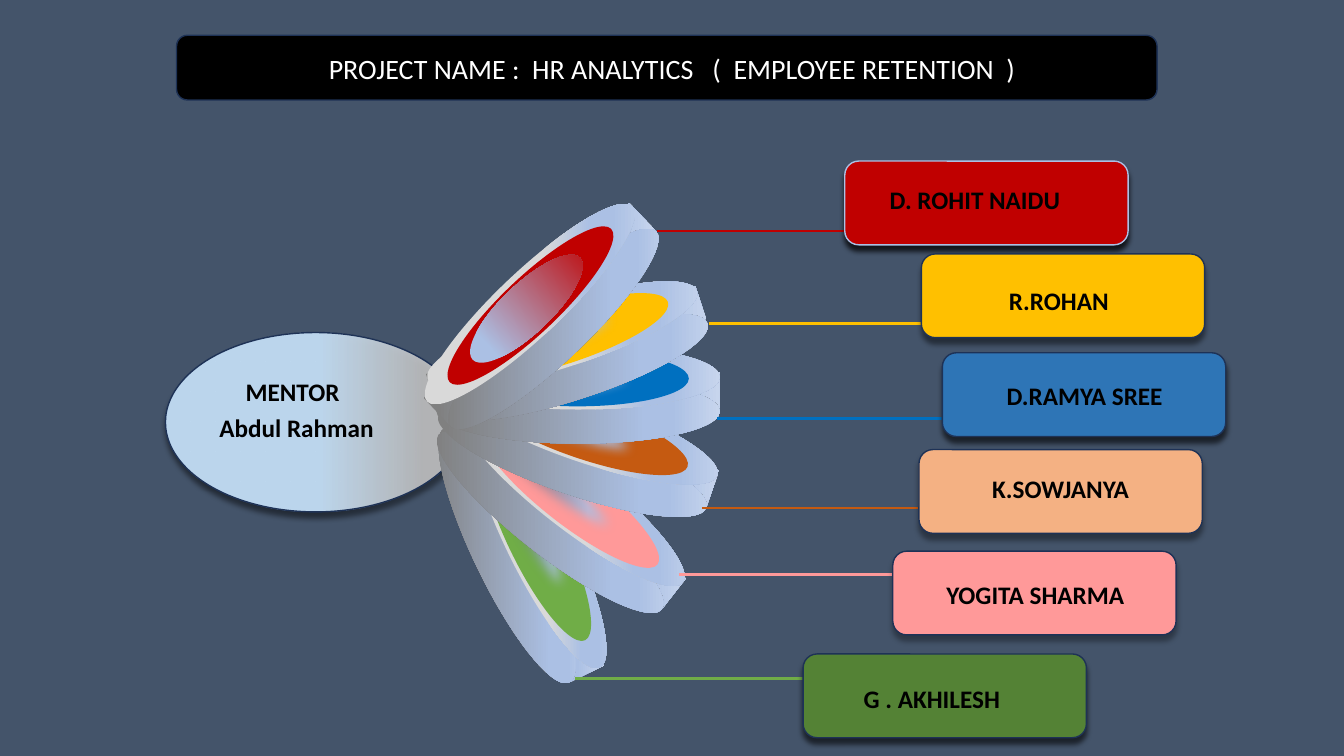
from pptx import Presentation
from pptx.dml.color import RGBColor
from pptx.enum import shapes, text
from pptx.oxml import parse_xml
from pptx.util import Cm, Pt

A = 'xmlns:a="http://schemas.openxmlformats.org/drawingml/2006/main"'
ROUND, OVAL, RECT = (shapes.MSO_SHAPE.ROUNDED_RECTANGLE, shapes.MSO_SHAPE.OVAL,
                     shapes.MSO_SHAPE.RECTANGLE)


def add_shape(parent, kind, x, y, w, h, fill, line=None, shadow=0, soft=0):
    """Fill is a hex string or (position, hex, alpha) stops; shadow is its opacity in %."""
    sp = parent.shapes.add_shape(kind, Cm(x), Cm(y), Cm(w), Cm(h))
    sp.shadow.inherit = False
    spPr = sp._element.spPr
    if isinstance(fill, str):
        sp.fill.solid()
        sp.fill.fore_color.rgb = RGBColor.from_string(fill)
    else:
        stops = "".join(
            f'<a:gs pos="{pos * 1000}"><a:srgbClr val="{color}">'
            f'<a:alpha val="{alpha * 1000}"/></a:srgbClr></a:gs>' for pos, color, alpha in fill)
        spPr.insert(2, parse_xml(f'<a:gradFill {A} rotWithShape="1"><a:gsLst>{stops}</a:gsLst>'
                                 '<a:lin ang="0" scaled="0"/></a:gradFill>'))
    if line:
        sp.line.color.rgb = RGBColor.from_string(line)
        sp.line.width = Pt(1)
    else:
        sp.line.fill.background()
    effects = spPr[-1]
    if shadow:
        effects.append(parse_xml(
            f'<a:outerShdw {A} blurRad="{Pt(4)}" dist="{Pt(4)}" dir="5400000" algn="t" '
            f'rotWithShape="0"><a:srgbClr val="000000"><a:alpha val="{shadow * 1000}"/>'
            '</a:srgbClr></a:outerShdw>'))
    if soft:
        effects.append(parse_xml(f'<a:softEdge {A} rad="{Cm(soft)}"/>'))
    return sp


def put_text(sp, words, size=18, bold=True, color="000000", align=text.PP_ALIGN.CENTER):
    tf = sp.text_frame
    tf.word_wrap = True
    tf.vertical_anchor = text.MSO_ANCHOR.TOP
    p = tf.paragraphs[0]
    p.alignment = align
    p.line_spacing = 1.0
    r = p.add_run()
    r.text = words
    r.font.name = "Calibri"
    r.font.size = Pt(size)
    r.font.bold = bold
    r.font.color.rgb = RGBColor.from_string(color)


prs = Presentation()
prs.slide_width, prs.slide_height = Cm(33.87), Cm(19.05)
s = prs.slides.add_slide(prs.slide_layouts[5])
s.background.fill.solid()
s.background.fill.fore_color.rgb = RGBColor.from_string("44546A")

# Title on its black bar
bar = add_shape(s, ROUND, 4.45, 0.89, 24.71, 1.63, "000000", line="1E3256")
title = s.shapes.title
title.left, title.top, title.width, title.height = Cm(5.94), Cm(1.17), Cm(22), Cm(1.12)
put_text(title, "PROJECT NAME :  HR ANALYTICS   (  EMPLOYEE RETENTION  )",
         size=20, bold=False, color="FFFFFF")
bar._element.addnext(title._element)

# Mentor
add_shape(s, OVAL, 4.17, 8.38, 7.57, 4.52, [(51, "BDD7EE", 100), (86, "C9C9C9", 86)],
          line="1E3256", shadow=48)
for words, x, y, w in [("MENTOR", 5.94, 9.37, 3.94), ("Abdul Rahman", 5.28, 10.26, 5.03)]:
    tb = s.shapes.add_textbox(Cm(x), Cm(y), Cm(w), Cm(1.02))
    put_text(tb, words, align=text.PP_ALIGN.LEFT)

# Fan of petals, from back to front: left, top, rotation, colour
RIM = [(74, "ABC0E4", 100), (83, "ABC0E4", 100), (100, "C7D5ED", 100)]
SIDE = [(6, "808080", 100)] + RIM
TOP = [(55, "D9D9D9", 100)] + RIM
GLOW = [(7, "000000", 2), (74, "ABC0E4", 100)]
petals = [
    (9.68, 12.42, 64, "70AD47"),
    (10.59, 11.48, 38, "FF9999"),
    (11, 9.93, 19, "C55A11"),
    (11, 8.69, 0, "0070C0"),
    (10.74, 7.65, -18, "FFC000"),
    (10.08, 6.73, -43.5, "C00000"),
]
for x, y, angle, color in petals:
    petal = s.shapes.add_group_shape()
    add_shape(petal, RECT, x, y + 0.69, 7.14, 0.94, SIDE)
    add_shape(petal, OVAL, x, y + 0.86, 7.14, 1.63, SIDE)
    add_shape(petal, OVAL, x, y, 7.14, 1.63, TOP)
    add_shape(petal, OVAL, x + 0.75, y + 0.15, 5.61, 1.4, color)
    if color != "C00000":
        add_shape(petal, OVAL, x - 0.3, y + 0.13, 5.61, 1.4, GLOW, soft=0.3)
    petal.rotation = angle
highlight = add_shape(s, OVAL, 11.4, 7.16, 3.73, 1.24,
                      [(0, "ABC0E4", 100), (23, "ABC0E4", 100), (100, "C00000", 100)])
highlight.rotation = -43.5

# Team: name, line (colour, left, top), box (fill, outline, shadow, left, top), text
team = [
    ("D. ROHIT NAIDU", ("C00000", 16.56, 5.82), ("C00000", "ABC0E4", 74, 21.29, 4.06),
     (21.74, 4.52, 5.66)),
    ("R.ROHAN", ("FFC000", 17.88, 8.15), ("FFC000", "1E3256", 45, 23.22, 6.4),
     (23.75, 7.06, 5.87)),
    ("D.RAMYA SREE", ("0070C0", 18.08, 10.54), ("2E75B6", "1E3256", 60, 23.75, 8.89),
     (23.98, 9.47, 6.71)),
    ("K.SOWJANYA", ("C55A11", 17.7, 12.8), ("F4B183", "1E3256", 37, 23.16, 11.33),
     (23.62, 11.79, 6.22)),
    ("YOGITA SHARMA", ("FF9999", 17.12, 14.48), ("FF9999", "1E3256", 33, 22.5, 13.89),
     (22.99, 14.48, 6.2)),
    ("G . AKHILESH", ("70AD47", 14.5, 17.09), ("548235", "1E3256", 58, 20.24, 16.48),
     (20.46, 17.09, 6.05)),
]
for name, (color, lx, ly), (fill, outline, shadow, bx, by), (tx, ty, tw) in team:
    ln = s.shapes.add_connector(shapes.MSO_CONNECTOR.STRAIGHT,
                                Cm(lx), Cm(ly), Cm(lx + 6.43), Cm(ly))
    ln.line.color.rgb = RGBColor.from_string(color)
    ln.line.width = Pt(2)
    ln._element.spPr.append(parse_xml(f"<a:effectLst {A}/>"))
    add_shape(s, ROUND, bx, by, 7.14, 2.11, fill, line=outline, shadow=shadow)
    tb = s.shapes.add_textbox(Cm(tx), Cm(ty), Cm(tw), Cm(1.02))
    put_text(tb, name)

prs.save("out.pptx")
